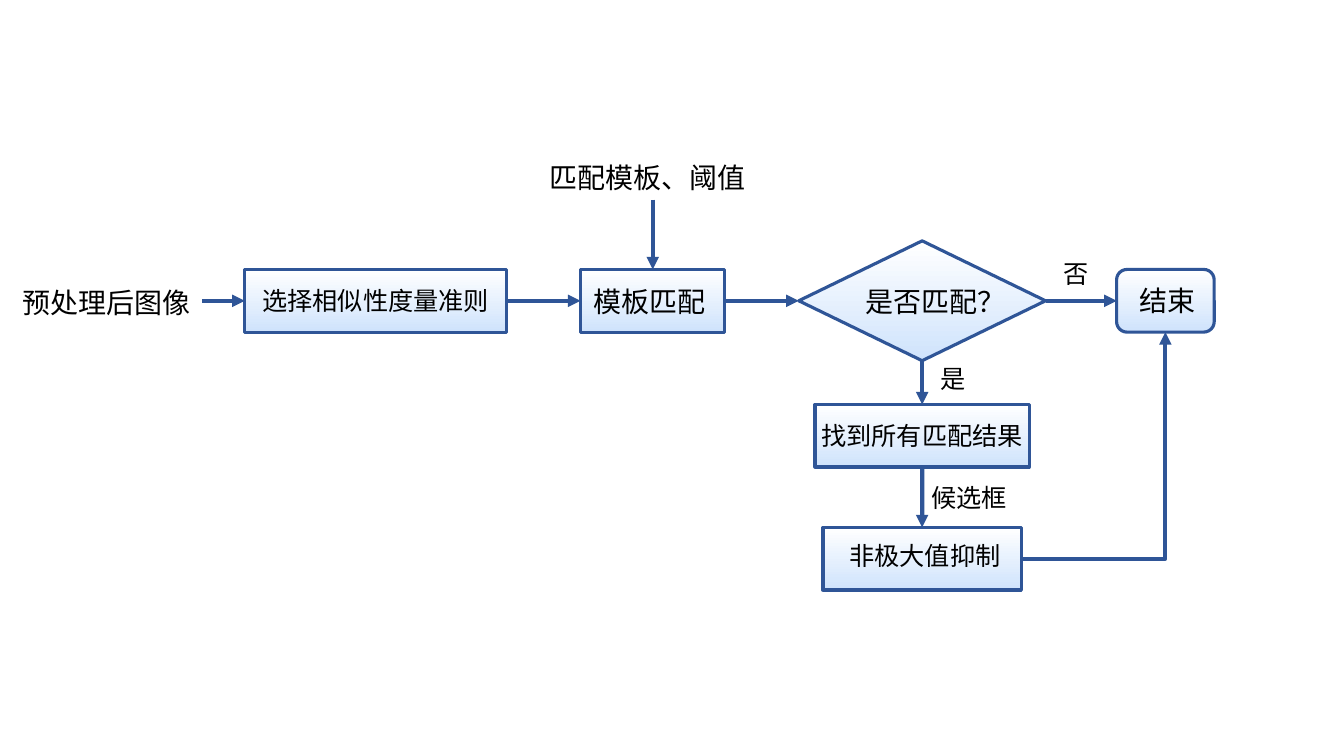
from lxml import etree
from pptx import Presentation
from pptx.dml.color import RGBColor
from pptx.enum.shapes import MSO_CONNECTOR as Connector, MSO_SHAPE as Shape
from pptx.enum.text import MSO_ANCHOR as Anchor, PP_ALIGN as Align
from pptx.oxml.ns import qn
from pptx.util import Cm, Pt

FONT = "Noto Sans CJK SC"
BLUE = RGBColor(0x2F, 0x55, 0x97)
PALE = RGBColor(0xCF, 0xE3, 0xFC)
WHITE = RGBColor(0xFF, 0xFF, 0xFF)
BLACK = RGBColor(0x00, 0x00, 0x00)
TOP, LEFT, BOTTOM, RIGHT = range(4)


def write_text(shape, text, size, wrap, margins=(0, 0, 0)):
    frame = shape.text_frame
    frame.text = text
    frame.word_wrap = wrap
    frame.vertical_anchor = Anchor.MIDDLE
    frame.margin_left, frame.margin_right, frame.margin_bottom = map(Cm, margins)
    frame.margin_top = 0
    paragraph = frame.paragraphs[0]
    paragraph.alignment = Align.CENTER
    font = paragraph.runs[0].font
    font.name = FONT
    font.size = Pt(size)
    font.color.rgb = BLACK
    east_asian = etree.SubElement(paragraph.runs[0]._r.rPr, qn("a:ea"))
    east_asian.set("typeface", FONT)


def style_arrow(connector):
    connector.line.color.rgb = BLUE
    connector.line.width = Pt(3)
    tail = etree.SubElement(connector.line._get_or_add_ln(), qn("a:tailEnd"))
    tail.set("type", "triangle")
    etree.SubElement(connector._element.spPr, qn("a:effectLst"))


presentation = Presentation()
presentation.slide_width = Cm(33.87)
presentation.slide_height = Cm(19.05)
slide = presentation.slides.add_slide(presentation.slide_layouts[6])

ROW = 7.58
MATCH_X = 16.45
DECISION_X = 23.24
BOX_HEIGHT = 1.58
EVEN = (0, 0, 0)

steps = [
    ("metric", "选择相似性度量准则", Shape.RECTANGLE, 9.47, ROW, 6.6, BOX_HEIGHT, 18, EVEN),
    ("match", "模板匹配", Shape.RECTANGLE, MATCH_X, ROW, 3.64, BOX_HEIGHT, 20, (0, 0.14, 0)),
    ("decision", "是否匹配？", Shape.DIAMOND, DECISION_X, ROW, 6.22, 3.02, 20, (0.66, 0, 0)),
    ("results", "找到所有匹配结果", Shape.RECTANGLE, DECISION_X, 10.98, 5.4, BOX_HEIGHT, 18, EVEN),
    ("suppression", "非极大值抑制", Shape.RECTANGLE, DECISION_X, 14.08, 5, BOX_HEIGHT, 18,
     (0.14, 0, 0.18)),
    ("end", "结束", Shape.FLOWCHART_ALTERNATE_PROCESS, 29.37, ROW, 2.46, BOX_HEIGHT, 20,
     (0.1, 0, 0)),
]
boxes = {}
for step, text, kind, x, y, width, height, size, margins in steps:
    shape = slide.shapes.add_shape(
        kind, Cm(x - width / 2), Cm(y - height / 2), Cm(width), Cm(height))
    shape.shadow.inherit = False
    shape.fill.gradient()
    shape.fill.gradient_angle = 270
    for stop, color in zip(shape.fill.gradient_stops, (WHITE, PALE)):
        stop.color.rgb = color
    shape.line.color.rgb = BLUE
    shape.line.width = Pt(2.25)
    write_text(shape, text, size, False, margins)
    boxes[step] = shape

labels = [
    ("预处理后图像", 2.69, 7.62, 4.78, 20),
    ("匹配模板、阈值", 16.32, 4.48, 5.7, 20),
    ("否", 27.11, 6.9, 1.14, 18),
    ("是", 24.02, 9.53, 1.14, 18),
    ("候选框", 24.43, 12.53, 2.44, 18),
]
for text, x, y, width, size in labels:
    height = 1.1
    label = slide.shapes.add_textbox(
        Cm(x - width / 2), Cm(y - height / 2), Cm(width), Cm(height))
    write_text(label, text, size, True)

inputs = [(5.1, ROW, "metric", LEFT), (MATCH_X, 5.03, "match", TOP)]
for x, y, target, side in inputs:
    arrow = slide.shapes.add_connector(Connector.STRAIGHT, Cm(x), Cm(y), Cm(x), Cm(y))
    arrow.end_connect(boxes[target], side)
    style_arrow(arrow)

flows = [
    ("metric", RIGHT, "match", LEFT, Connector.STRAIGHT),
    ("match", RIGHT, "decision", LEFT, Connector.STRAIGHT),
    ("decision", RIGHT, "end", LEFT, Connector.STRAIGHT),
    ("decision", BOTTOM, "results", TOP, Connector.STRAIGHT),
    ("results", BOTTOM, "suppression", TOP, Connector.STRAIGHT),
    ("suppression", RIGHT, "end", BOTTOM, Connector.ELBOW),
]
for source, source_side, target, target_side, kind in flows:
    arrow = slide.shapes.add_connector(kind, 0, 0, 0, 0)
    arrow.begin_connect(boxes[source], source_side)
    arrow.end_connect(boxes[target], target_side)
    if kind == Connector.ELBOW:
        arrow._element.spPr.find(qn("a:prstGeom")).set("prst", "bentConnector2")
    style_arrow(arrow)

presentation.save("out.pptx")
